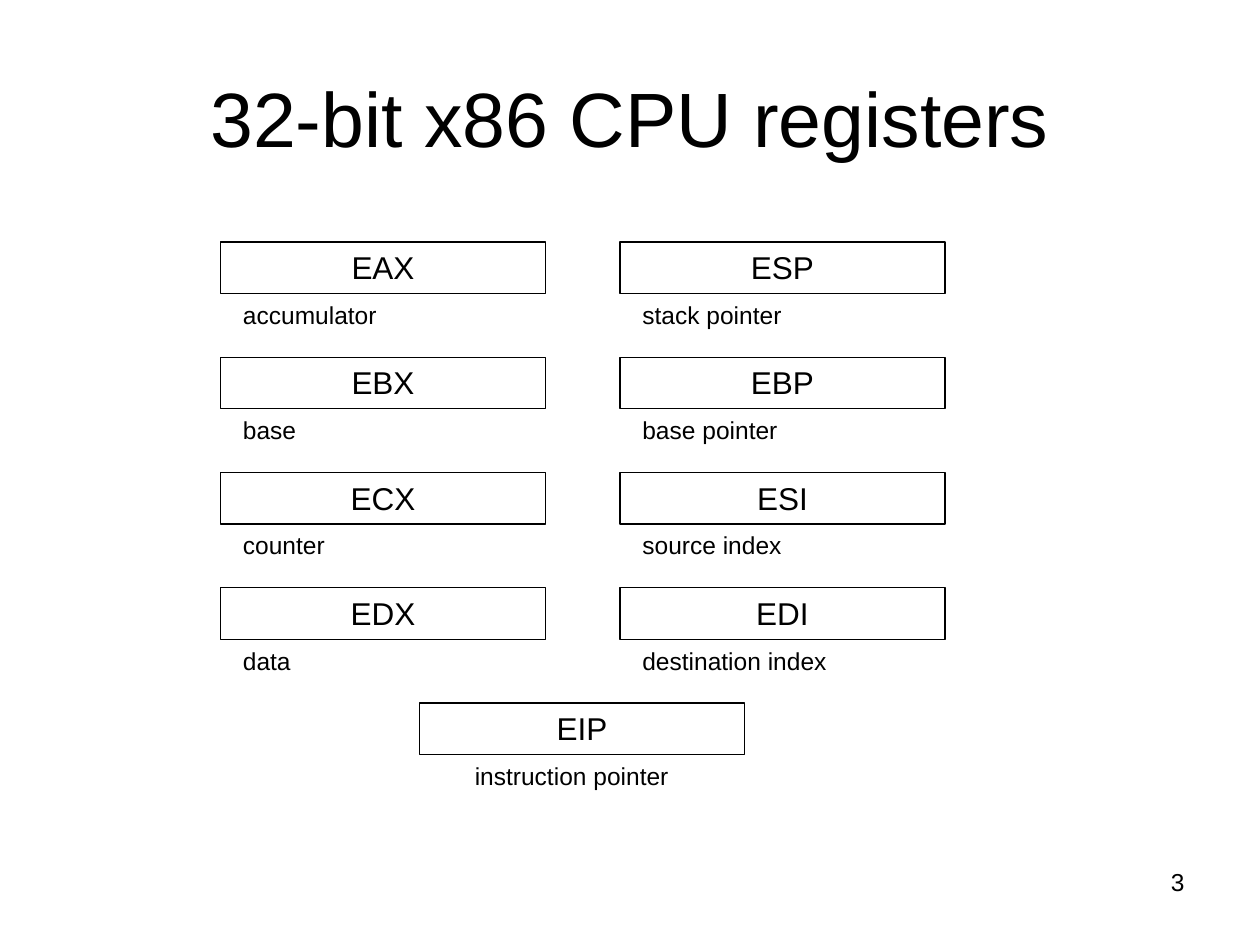
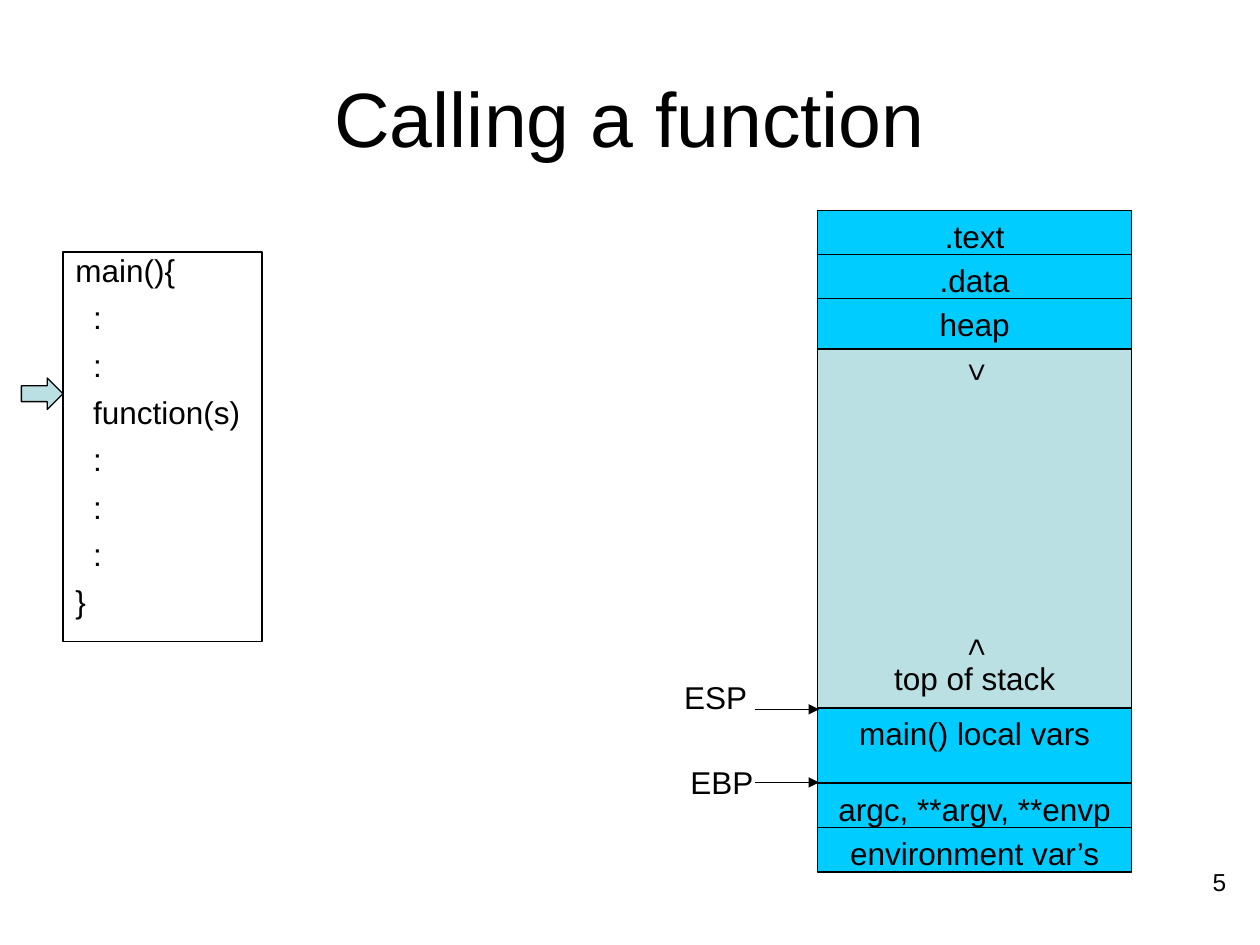
"""Build two slides on x86 registers and the stack during a function call."""
import pptx
import pptx.util
import pptx.dml.color
import pptx.enum.shapes
import pptx.enum.text
import pptx.oxml.ns
from lxml import etree

Inches = pptx.util.Inches
Pt = pptx.util.Pt
SHAPE = pptx.enum.shapes.MSO_SHAPE
ALIGN = pptx.enum.text.PP_ALIGN
ANCHOR = pptx.enum.text.MSO_ANCHOR
qn = pptx.oxml.ns.qn

FONT = "Arial"
BLACK = "000000"
USED = "00CCFF"
FREE = "BBE0E3"
LEFT, CENTER, RIGHT = ALIGN.LEFT, ALIGN.CENTER, ALIGN.RIGHT

REGISTERS = [
    [("EAX", "accumulator"), ("EBX", "base"), ("ECX", "counter"), ("EDX", "data")],
    [("ESP", "stack pointer"), ("EBP", "base pointer"),
     ("ESI", "source index"), ("EDI", "destination index")],
]
CODE = [("main(){", 0), (":", 1), (":", 1), ("function(s)", 1),
        (":", 1), (":", 1), (":", 1), ("}", 0)]
STACK_X, STACK_W = 6.49, 2.49


def rgb(color):
    """Turn a hex string into a colour."""
    return pptx.dml.color.RGBColor.from_string(color)


def style(p, size, align):
    """Set the font and alignment of a paragraph."""
    p.font.name = FONT
    p.font.size = Pt(size)
    p.font.color.rgb = rgb(BLACK)
    p.alignment = align


def write(sp, text, size, align):
    """Put one line of text at the top of a shape."""
    tf = sp.text_frame
    tf.word_wrap = True
    tf.vertical_anchor = ANCHOR.TOP
    if align == CENTER:
        tf.margin_left = tf.margin_right = Inches(0.05)
    tf.text = text
    style(tf.paragraphs[0], size, align)


def add_label(s, x, y, w, h, text, size=18, align=CENTER):
    """Add a text box."""
    sp = s.shapes.add_textbox(Inches(x), Inches(y), Inches(w), Inches(h))
    write(sp, text, size, align)
    return sp


def add_box(s, x, y, w, h, text="", fill=None, kind=SHAPE.RECTANGLE):
    """Add an outlined shape with optional fill and centred text."""
    sp = s.shapes.add_shape(kind, Inches(x), Inches(y), Inches(w), Inches(h))
    sp.shadow.inherit = False
    if fill:
        sp.fill.solid()
        sp.fill.fore_color.rgb = rgb(fill)
    else:
        sp.fill.background()
    sp.line.color.rgb = rgb(BLACK)
    sp.line.width = Pt(0.75)
    if text:
        write(sp, text, 18, CENTER)
    return sp


def add_pointer(s, x, y, w):
    """Add a horizontal arrow pointing right."""
    line = s.shapes.add_connector(pptx.enum.shapes.MSO_CONNECTOR.STRAIGHT,
                                  Inches(x), Inches(y), Inches(x + w), Inches(y))
    line.line.color.rgb = rgb(BLACK)
    line.line.width = Pt(0.75)
    etree.SubElement(line.line._get_or_add_ln(), qn("a:tailEnd"), type="triangle")
    etree.SubElement(line._element.spPr, qn("a:effectLst"))


def add_chevron(s, y, text):
    """Add a rotated angle sign that shows where the stack or heap grows."""
    sp = add_label(s, 7.47, y, 0.5, 0.35, text, align=LEFT)
    sp.text_frame._txBody.bodyPr.set("vert", "eaVert")


def add_code(s, x, y, w, h, lines):
    """Add a framed code listing with indented lines."""
    tf = add_box(s, x, y, w, h).text_frame
    tf.word_wrap = True
    tf.vertical_anchor = ANCHOR.TOP
    for i, (text, level) in enumerate(lines):
        p = tf.add_paragraph() if i else tf.paragraphs[0]
        p.text = text
        style(p, 18, LEFT)
        p.line_spacing = 0.8
        p.space_before = Pt(9.75 if i else 0)
        p._p.get_or_add_pPr().set("marL", str(Inches(0.14 * level)))


def add_slide(prs, title, number, number_x):
    """Add a slide with a title and a page number."""
    s = prs.slides.add_slide(prs.slide_layouts[5])
    sp = s.shapes.title
    sp.left, sp.top, sp.width, sp.height = map(Inches, (0.5, 0.3, 9, 1.25))
    sp.text_frame.text = title
    sp.text_frame.vertical_anchor = ANCHOR.MIDDLE
    style(sp.text_frame.paragraphs[0], 44, CENTER)
    add_label(s, number_x, 6.83, 2.33, 0.52, number, 14, RIGHT)
    return s


def add_register(s, x, y, name, role, role_dx=0.08, role_w=1.67):
    """Add a register box with its role below."""
    add_box(s, x, y, 2.58, 0.41, name)
    add_label(s, x + role_dx, y + 0.41, role_w, 0.33, role, 14, LEFT)


def build_registers(prs):
    """Build the slide of CPU registers."""
    s = add_slide(prs, "32-bit x86 CPU registers", "3", 7.17)
    top, pitch = 1.92, 0.915
    for x, column in zip((1.75, 4.92), REGISTERS):
        for row, (name, role) in enumerate(column):
            add_register(s, x, top + row * pitch, name, role)
    add_register(s, 3.33, top + 4 * pitch, "EIP", "instruction pointer", 0.34, 2.17)


def build_call(prs):
    """Build the slide of code and memory layout."""
    s = add_slide(prs, "Calling a function", "5", 7.5)
    add_code(s, 0.5, 2, 1.58, 3.09, CODE)
    add_box(s, 0.17, 3, 0.33, 0.25, fill=FREE, kind=SHAPE.RIGHT_ARROW)

    add_box(s, STACK_X, 2.72, STACK_W, 2.95, fill=FREE)
    for i, text in enumerate((".text", ".data", "heap")):
        add_box(s, STACK_X, 1.67 + 0.35 * i, STACK_W, 0.4, text, USED)
    add_chevron(s, 2.79, ">")
    add_chevron(s, 4.97, "<")
    add_label(s, STACK_X, 5.18, STACK_W, 0.4, "top of stack")
    for y, h, text in ((5.62, 0.59, "main() local vars"),
                       (6.22, 0.35, "argc, **argv, **envp"),
                       (6.57, 0.35, "environment var’s")):
        add_box(s, STACK_X, y, STACK_W, h, text, USED)

    for x, y, text, arrow_y in ((5.33, 5.33, "ESP", 5.63), (5.38, 6.01, "EBP", 6.21)):
        add_label(s, x, y, 0.7, 0.4, text)
        add_pointer(s, 5.99, arrow_y, 0.51)


def main():
    """Build and save the presentation."""
    prs = pptx.Presentation()
    prs.slide_width, prs.slide_height = Inches(10), Inches(7.5)
    build_registers(prs)
    build_call(prs)
    prs.save("out.pptx")


main()
